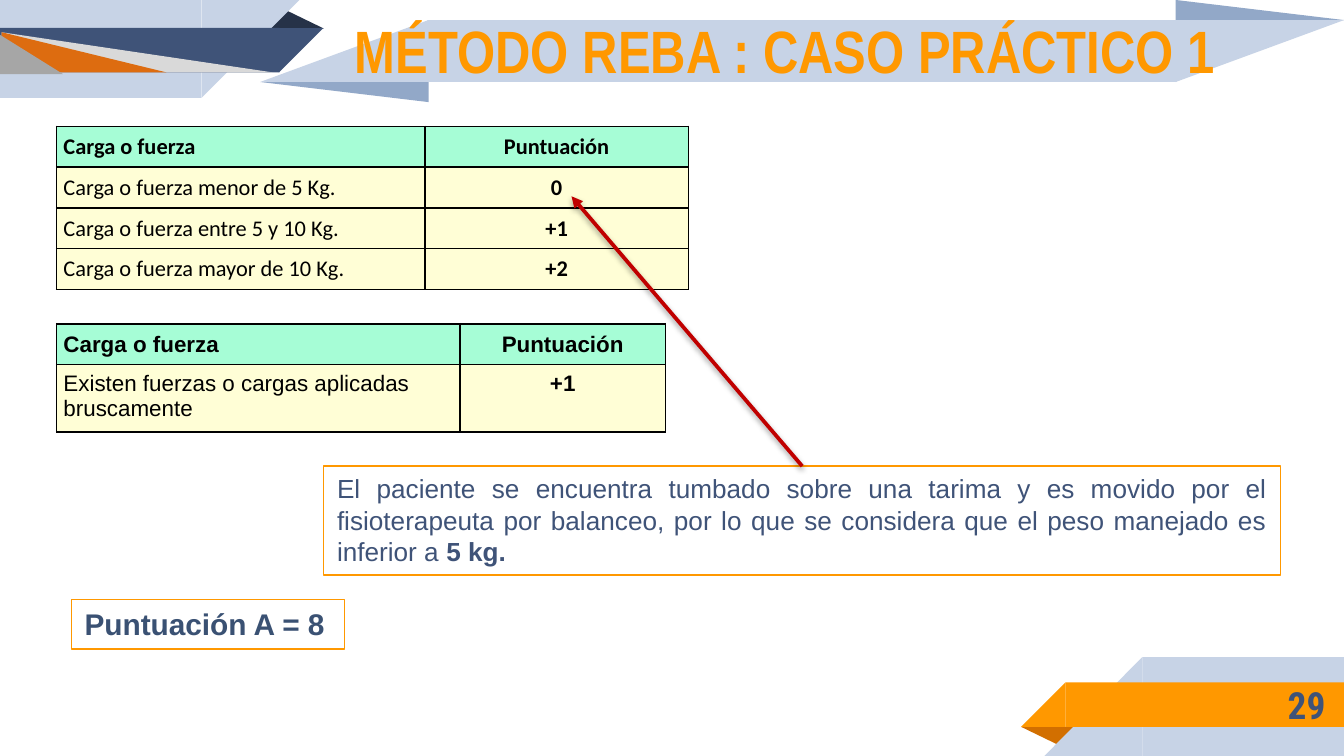
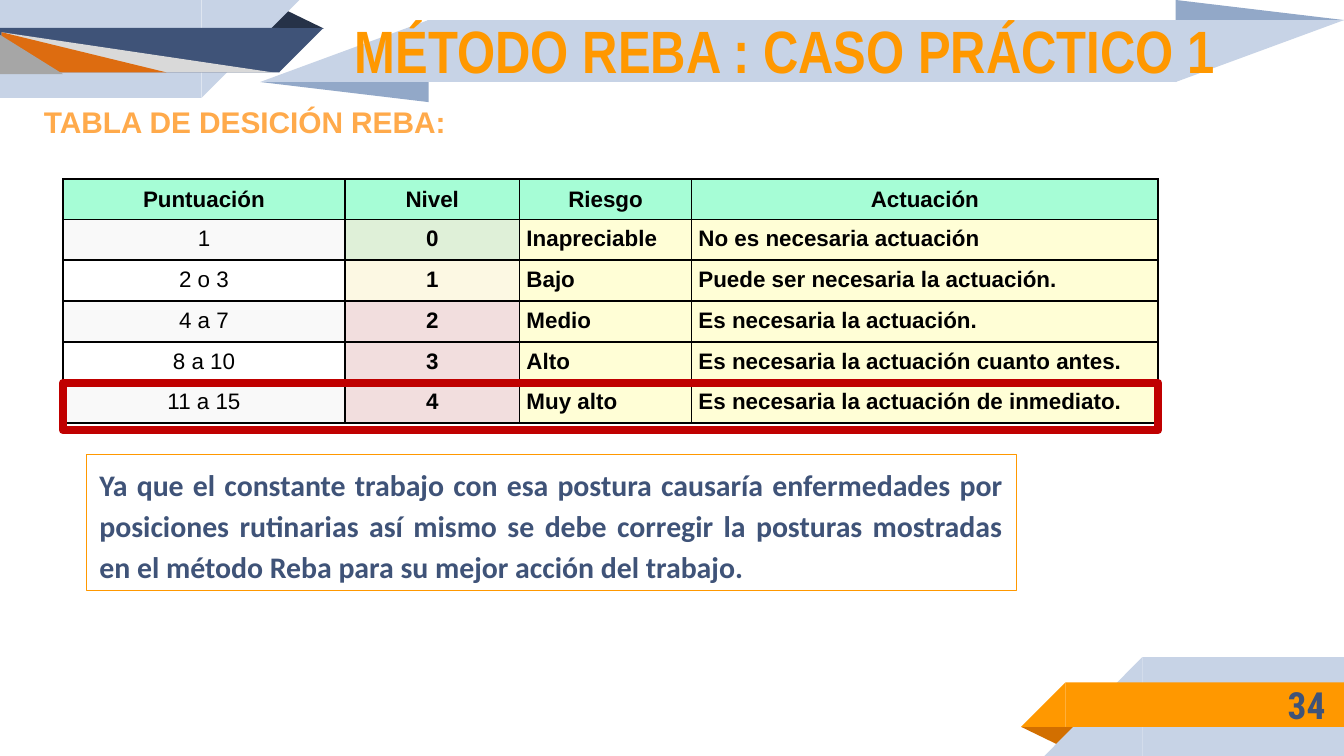
import lxml.etree
import pptx
import pptx.dml.color
import pptx.enum.shapes
import pptx.enum.text
import pptx.oxml.ns
import pptx.util

Cm, Pt = pptx.util.Cm, pptx.util.Pt
RGBColor = pptx.dml.color.RGBColor
SHAPE = pptx.enum.shapes.MSO_SHAPE
RECT, RIGHT, PEAK = SHAPE.RECTANGLE, SHAPE.RIGHT_TRIANGLE, SHAPE.ISOSCELES_TRIANGLE
ALIGN = pptx.enum.text.PP_ALIGN
ANCHOR = pptx.enum.text.MSO_ANCHOR
FIT = pptx.enum.text.MSO_AUTO_SIZE

BLACK = RGBColor(0x00, 0x00, 0x00)
NIGHT = RGBColor(0x26, 0x32, 0x48)
NAVY = RGBColor(0x3F, 0x53, 0x78)
SLATE = RGBColor(0x3A, 0x51, 0x73)
STEEL = RGBColor(0x92, 0xA8, 0xC8)
PALE = RGBColor(0xC7, 0xD3, 0xE6)
ORANGE = RGBColor(0xFF, 0x98, 0x00)
LIGHT = RGBColor(0xFF, 0xAA, 0x4B)
BROWN = RGBColor(0xD2, 0x6F, 0x00)
RUST = RGBColor(0xDD, 0x6C, 0x10)
SILVER = RGBColor(0xD9, 0xD9, 0xD9)
GREY = RGBColor(0xA6, 0xA6, 0xA6)
RED = RGBColor(0xC0, 0x00, 0x00)
MINT = RGBColor(0xA6, 0xFD, 0xD6)
CREAM = RGBColor(0xFF, 0xFE, 0xD6)
SNOW = RGBColor(0xF9, 0xF9, 0xF9)
GREEN = RGBColor(0xDF, 0xF0, 0xD8)
SAND = RGBColor(0xFC, 0xF8, 0xE3)
PINK = RGBColor(0xF2, 0xDE, 0xDE)

TITLE = "MÉTODO REBA : CASO PRÁCTICO 1"
ROW = 0.77  # height of a one-line table row

# kind, fill, (left, top, width, height), then turn, mirror and peak position
HEADER = [
    (PEAK, NIGHT, (5.03, 0.18, 1.09, 0.36), 0, False, 0.32),
    (RECT, PALE, (0, 0, 3.81, 1.85)),
    (RIGHT, PALE, (3.81, 0, 1.85, 1.85), 180, True),
    (RECT, NAVY, (0, 0.53, 5.28, 0.84)),
    (RIGHT, NAVY, (5.27, 0.53, 0.84, 0.84), 180, True),
]
FOOTER = [
    (PEAK, BROWN, (19.3, 13.74, 1.09, 0.36), 180, False, 0.32),
    (RECT, PALE, (21.59, 12.42, 3.81, 1.87)),
    (RIGHT, PALE, (19.74, 12.42, 1.85, 1.87), 0, True),
    (RECT, ORANGE, (20.14, 12.9, 5.26, 0.84)),
    (RIGHT, ORANGE, (19.3, 12.9, 0.84, 0.84), 0, True),
]
RIBBON = [
    (PEAK, STEEL, (22.22, 0, 3.18, 0.38), 0, False, 0),
    (RECT, PALE, (8.08, 0.38, 14.16, 1.17)),
    (RIGHT, PALE, (22.22, 0.38, 3.18, 1.17), 180, True),
    (RIGHT, PALE, (4.92, 0.38, 3.18, 1.17), 0, True),
    (PEAK, STEEL, (4.92, 1.55, 3.18, 0.38), 180, False, 0),
]
RAYS = [
    (PEAK, SILVER, (0.03, 0.61, 5.13, 0.76), 0, False, 0),
    (RIGHT, RUST, (0.03, 0.61, 3.12, 0.76)),
    (PEAK, GREY, (-0.03, 0.64, 1.22, 0.76), 0, False, 0),
]


def place(box):
    return [Cm(size) for size in box]


def child(node, tag, **attrs):
    """Append an XML element such as a:ln and return it."""
    item = lxml.etree.SubElement(node, pptx.oxml.ns.qn(tag))
    for name, value in attrs.items():
        item.set(name, str(value))
    return item


def paint(node, color):
    child(child(node, "a:solidFill"), "a:srgbClr", val=color)


class Deck:
    def __init__(self):
        self.show = pptx.Presentation()
        self.show.slide_width = Cm(25.4)
        self.show.slide_height = Cm(14.29)
        self.slide = None

    def page(self, title, number):
        self.slide = self.show.slides.add_slide(self.show.slide_layouts[6])
        for part in HEADER + FOOTER + RIBBON:
            self.shape(*part)
        self.text((21.16, 12.88, 4.14, 0.89), str(number), 20, NAVY,
                  "Roboto Condensed", align=ALIGN.RIGHT, anchor=ANCHOR.MIDDLE)
        for part in RAYS:
            self.shape(*part)
        head = self.text((6.5, 0.23, 16.69, 1.42), title, 32, ORANGE, "Arial Narrow",
                         align=ALIGN.CENTER, anchor=ANCHOR.MIDDLE, inset=0)
        run = head.text_frame.paragraphs[0].runs[0]
        paint(child(run.font._element, "a:ln", w=Pt(1.75)), NIGHT)

    def shape(self, kind, fill, box, turn=0, mirror=False, peak=None):
        item = self.slide.shapes.add_shape(kind, *place(box))
        item.shadow.inherit = False
        item.fill.solid()
        item.fill.fore_color.rgb = fill
        item.line.fill.background()
        item.rotation = turn
        if mirror:
            item._element.spPr.xfrm.set("flipH", "1")
        if peak is not None:
            item.adjustments[0] = peak

    def frame(self, box, color, width):
        item = self.slide.shapes.add_shape(RECT, *place(box))
        item.shadow.inherit = False
        item.fill.background()
        item.line.color.rgb = color
        item.line.width = Pt(width)
        return item

    def text(self, box, words, size, color, font="Arial", **look):
        item = self.slide.shapes.add_textbox(*place(box))
        self.label(item, words, size, color, font, **look)
        return item

    def note(self, box, words, size, color=NAVY, font="Arial", **look):
        """Draw text in an orange frame and return its paragraph."""
        item = self.frame(box, ORANGE, 0.75)
        self.label(item, words, size, color, font, **look)
        item.text_frame.auto_size = FIT.SHAPE_TO_FIT_TEXT
        return item.text_frame.paragraphs[0]

    def label(self, item, words, size, color, font, bold=True, align=ALIGN.LEFT,
              anchor=ANCHOR.TOP, inset=None, wrap=True):
        body = item.text_frame
        body.word_wrap = wrap
        body.vertical_anchor = anchor
        if inset is not None:
            body.margin_left = body.margin_right = Cm(inset)
            body.margin_top = body.margin_bottom = Cm(inset)
        self.style(body.paragraphs[0], words, size, color, font, bold, align)

    def style(self, para, words, size, color, font, bold, align):
        para.add_run().text = words
        para.alignment = align
        para.font.size = Pt(size)
        para.font.name = font
        para.font.bold = bold
        para.font.color.rgb = color

    def table(self, spot, widths, heights, rows, fills, bolds, aligns, font="Arial"):
        """Draw a table; fills has a list per body row, bolds and aligns a value per column."""
        box = (*spot, sum(widths), sum(heights))
        grid = self.slide.shapes.add_table(len(rows), len(widths), *place(box)).table
        grid.first_row = grid.horz_banding = False
        for col, width in zip(grid.columns, widths):
            col.width = Cm(width)
        for line, height in zip(grid.rows, heights):
            line.height = Cm(height)
        for r, row in enumerate(rows):
            head = r == 0
            for c, words in enumerate(row):
                cell = grid.cell(r, c)
                align = ALIGN.CENTER if head and c > 0 else aligns[c]
                self.cell(cell, MINT if head else fills[r - 1][c])
                cell.vertical_anchor = ANCHOR.BOTTOM if head else ANCHOR.TOP
                self.style(cell.text_frame.paragraphs[0], words, 12, BLACK, font,
                           head or bolds[c], align)

    def cell(self, cell, fill):
        cell.margin_left = cell.margin_right = Cm(0.13)
        cell.margin_top = cell.margin_bottom = Cm(0.13)
        for side in "LRTB":
            paint(child(cell._tc.get_or_add_tcPr(), "a:ln" + side, w=Pt(1)), BLACK)
        if fill is None:
            cell.fill.background()
        else:
            cell.fill.solid()
            cell.fill.fore_color.rgb = fill

    def arrow(self, start, end, color, width):
        kind = pptx.enum.shapes.MSO_CONNECTOR.STRAIGHT
        item = self.slide.shapes.add_connector(kind, *place(start + end))
        item.line.color.rgb = color
        item.line.width = Pt(width)
        props = item._element.spPr
        child(props.find(pptx.oxml.ns.qn("a:ln")), "a:tailEnd", type="triangle")
        shade = child(child(props, "a:effectLst"), "a:outerShdw", blurRad=Pt(3.1),
                      dist=Pt(1.6), dir=90 * 60000, rotWithShape=0)
        child(child(shade, "a:srgbClr", val=BLACK), "a:alpha", val=38000)


def force(deck):
    deck.page(TITLE, 29)
    pair = dict(bolds=(False, True), aligns=(ALIGN.LEFT, ALIGN.CENTER))
    names = ("Carga o fuerza", "Puntuación")
    deck.table((1.07, 2.39), (6.96, 4.98), [ROW] * 4, [
        names,
        ("Carga o fuerza menor de 5 Kg.", "0"),
        ("Carga o fuerza entre 5 y 10 Kg.", "+1"),
        ("Carga o fuerza mayor de 10 Kg.", "+2"),
    ], [(CREAM, CREAM)] * 3, font="Calibri", **pair)
    deck.table((1.07, 6.12), (7.62, 3.89), [ROW, 1.28], [
        names,
        ("Existen fuerzas o cargas aplicadas bruscamente", "+1"),
    ], [(CREAM, CREAM)], **pair)
    para = deck.note(
        (6.12, 8.81, 18.08, 2.06),
        "El paciente se encuentra tumbado sobre una tarima y es movido por el "
        "fisioterapeuta por balanceo, por lo que se considera que el peso manejado "
        "es inferior a ", 14, bold=False, align=ALIGN.JUSTIFY)
    weight = para.add_run()
    weight.text = "5 kg."
    weight.font.bold = True
    deck.arrow((15.16, 8.81), (10.8, 3.71), RED, 2)
    deck.note((1.35, 11.33, 5.16, 0.94), "Puntuación A = 8", 16, SLATE, wrap=False)


def risk(deck):
    deck.page(TITLE, 34)
    para = deck.note(
        (1.63, 8.59, 17.58, 2.57),
        "Ya que el constante trabajo con esa postura causaría enfermedades por "
        "posiciones rutinarias así mismo se debe corregir la posturas mostradas en "
        "el método Reba para su mejor acción del trabajo.",
        16, font="Calibri", align=ALIGN.JUSTIFY)
    para.line_spacing = 1.15
    para.space_after = Pt(10)
    deck.text((0.58, 1.83, 23.7, 0.94), "TABLA DE DESICIÓN REBA:", 16, LIGHT)
    levels = (GREEN, SAND, PINK, PINK, PINK)
    fills = [(None if i % 2 else SNOW, tone, CREAM, CREAM)
             for i, tone in enumerate(levels)]
    deck.table((1.19, 3.38), (5.33, 3.3, 3.25, 8.82), [ROW] * 6, [
        ("Puntuación", "Nivel", "Riesgo", "Actuación"),
        ("1", "0", "Inapreciable", "No es necesaria actuación"),
        ("2 o 3", "1", "Bajo", "Puede ser necesaria la actuación."),
        ("4 a 7", "2", "Medio", "Es necesaria la actuación."),
        ("8 a 10", "3", "Alto", "Es necesaria la actuación cuanto antes."),
        ("11 a 15", "4", "Muy alto", "Es necesaria la actuación de inmediato."),
    ], fills, (False, True, True, True),
        (ALIGN.CENTER, ALIGN.CENTER, ALIGN.LEFT, ALIGN.LEFT))
    deck.frame((1.19, 7.24, 20.7, 0.89), RED, 4.5)


def main():
    deck = Deck()
    force(deck)
    risk(deck)
    deck.show.save("out.pptx")


if __name__ == "__main__":
    main()
